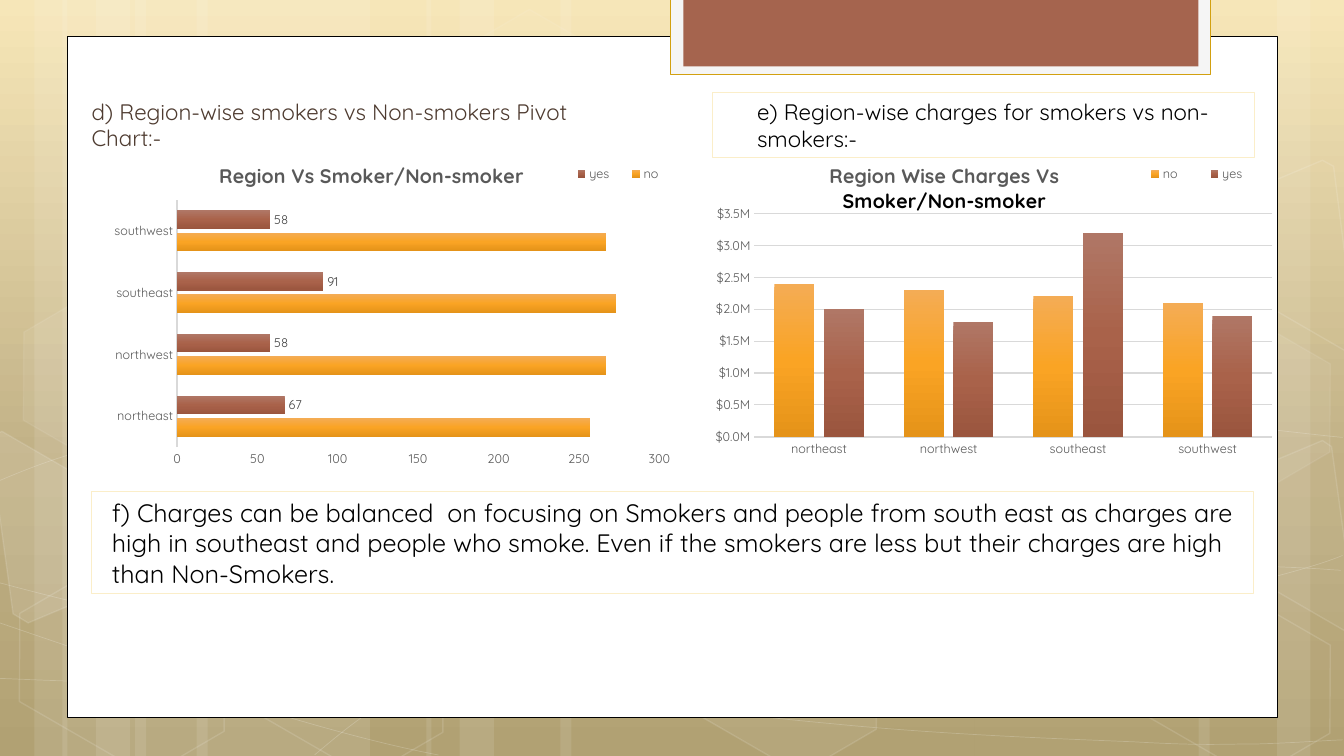
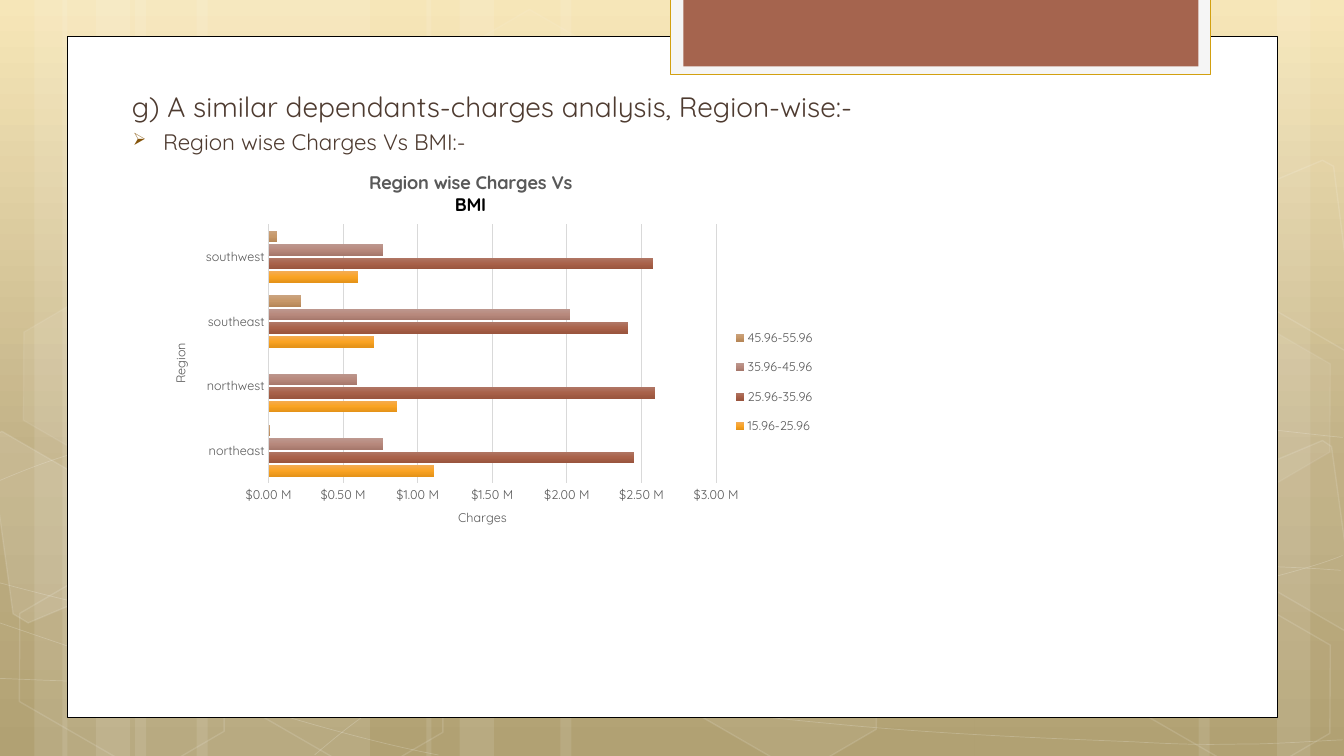
import pptx
import pptx.util
import pptx.chart.data
import pptx.dml.color
import pptx.enum.chart
import pptx.enum.shapes
import pptx.enum.text
import pptx.oxml
import pptx.oxml.ns

Inches, Pt, qn = pptx.util.Inches, pptx.util.Pt, pptx.oxml.ns.qn
CHART = pptx.enum.chart.XL_CHART_TYPE
SHAPE = pptx.enum.shapes.MSO_SHAPE

FACE = "Quicksand"
WHITE, BLACK, BROWN, GREY, RULE = "FFFFFF", "000000", "4E3B30", "595959", "D9D9D9"
FRAME = "FBEEC9"
SKY = [(0, "F6E4B0"), (62, "BAA878"), (100, "A99764")]
ORANGE = [(0, "F4AC55"), (50, "FAA424"), (100, "E59319")]
RUST = [(0, "B07766"), (50, "A9624A"), (100, "9A553E")]
ROSE = [(0, "BD988F"), (50, "B8897D"), (100, "A6786C")]
TAN = [(0, "CAA37F"), (50, "C79869"), (100, "B68758")]

# left, width
STRIPES = [(1.34, 2.33), (0, 0.67), (0.34, 1.11), (1.95, 2.33), (0.62, 0.67), (0.95, 1.11),
           (9.67, 2.33), (12.67, 0.67), (11.89, 1.11), (5.56, 4.11), (4.23, 0.67), (4.56, 1.11)]
# start point, then two handles and an end point for each stretch
CURVES = [
    [(-0.01, 6.73), (0.71, 6.76), (1.43, 6.79), (2.43, 6.78), (3.43, 6.77), (4.66, 6.75),
     (5.99, 6.65), (7.33, 6.55), (9.22, 6.36), (10.45, 6.17), (11.67, 5.98), (12.92, 5.68),
     (13.32, 5.51)],
    [(-0.01, 4.77), (0.37, 4.61), (0.75, 4.46), (1.51, 4.31), (2.27, 4.16), (3.34, 3.94),
     (4.52, 3.87), (5.71, 3.8), (7.14, 3.79), (8.61, 3.87), (10.08, 3.95), (12.52, 4.26),
     (13.32, 4.34)],
    [(-0.03, 6.17), (1.58, 6.72), (3.19, 7.27), (4.35, 7.49)],
    [(-0.01, 5.78), (0.4, 5.89), (0.82, 6), (1.6, 6.16), (2.37, 6.31), (3.53, 6.56),
     (4.64, 6.73), (5.76, 6.9), (7.16, 7.08), (8.26, 7.18), (9.37, 7.29), (10.55, 7.33),
     (11.26, 7.36), (11.96, 7.4), (12.14, 7.38), (12.49, 7.38), (12.83, 7.37), (13.08, 7.35),
     (13.32, 7.34)],
    [(3.12, 7.49), (3.36, 7.29), (3.59, 7.09), (3.92, 6.91), (4.24, 6.73), (4.69, 6.53),
     (5.06, 6.39), (5.43, 6.25), (5.66, 6.19), (6.15, 6.09), (6.64, 5.99), (7.54, 5.85),
     (8, 5.78), (8.47, 5.71), (8.54, 5.71), (8.96, 5.69), (9.37, 5.66), (10.02, 5.63),
     (10.48, 5.62), (10.94, 5.61), (11.71, 5.62), (11.71, 5.62), (12, 5.62), (12.3, 5.62),
     (12.59, 5.62), (12.84, 5.63), (13.06, 5.64), (13.18, 5.65), (13.3, 5.66), (13.26, 5.65),
     (13.3, 5.66)],
]
# left, top, fill opacity, line opacity
HEXES = [(4.34, 0.36, 4, 8), (6.51, 5.89, 6, 12), (0.04, 5.91, 0, 12), (0.08, 3.12, 7, 8),
         (2.21, 5.92, 0, 12), (11.01, 5.93, 0, 12), (11.01, 3.14, 7, 8)]
# fill opacity, corners
SHARDS = [
    (10, [(-0.11, 4.34), (0.02, 4.28), (1.04, 4.87), (1.16, 5.81), (0.28, 6.18), (0.13, 6.09)]),
    (4, [(12.24, 4.74), (13.12, 4.37), (13.21, 4.43), (13.46, 6.25), (13.38, 6.28),
         (12.36, 5.69)]),
    (0, [(12.24, 1.96), (13.12, 1.59), (13.23, 1.65), (13.46, 3.46), (13.38, 3.5),
         (12.36, 2.91)]),
]
# box, fill, line, line width
PANELS = [((0.67, 0.36, 12, 6.76), WHITE, BLACK, 0.5),
          ((6.65, -0.02, 5.36, 0.76), "F5F5F5", "D2A010", 1),
          ((6.78, -0.02, 5.11, 0.68), "A5644E", None, 0)]

REGIONS = ["northeast", "northwest", "southeast", "southwest"]
# spot, legend, plot and the places of names are percents of the chart
SLIDES = [
    {
        # box, lines of (text, size, bullet)
        "heads": [((0.74, 0.92, 5.69, 0.38),
                   [("d) Region-wise smokers vs Non-smokers Pivot Chart:-", 16, False)])],
        # box, left margin, size, text
        "notes": [
            ((7.07, 0.92, 5.38, 0.64), 0.44, 16,
             "e) Region-wise charges for smokers vs non-smokers:-"),
            ((0.91, 4.88, 11.53, 1.01), 0.2, 18,
             "f) Charges can be balanced  on focusing on Smokers and people from south east as "
             "charges are high in southeast and people who smoke. Even if the smokers are less "
             "but their charges are high than Non-Smokers."),
        ],
        "charts": [
            {"kind": CHART.BAR_CLUSTERED, "box": (1.02, 1.56, 5.71, 3.13),
             "title": ["Region Vs Smoker/Non-smoker"], "size": 14, "spot": (19.6, 0.1),
             "legend": (79.3, 1.7, 20.5, 7), "plot": (12.9, 13.5, 83.8, 78.4),
             "top": 300, "step": 50, "form": "General", "grid": False, "gap": (115, -20),
             "tags": ["yes"],
             "rows": [("no", ORANGE, [257, 267, 273, 267]), ("yes", RUST, [67, 58, 91, 58])]},
            {"kind": CHART.COLUMN_CLUSTERED, "box": (6.95, 1.56, 5.68, 3.03),
             "title": ["Region Wise Charges Vs", "Smoker/Non-smoker"], "size": 14,
             "spot": (22, 0.3),
             "legend": (73.8, 2, 26, 7), "plot": (9.4, 18.4, 90.6, 73.2),
             "top": 3500000, "step": 500000, "form": '\\$#,##0.0,,"M"', "grid": True,
             "gap": (100, -24),
             "rows": [("no", ORANGE, [2400000, 2300000, 2200000, 2100000]),
                      ("yes", RUST, [2000000, 1800000, 3200000, 1900000])]},
        ],
    },
    {
        "heads": [((1.14, 0.84, 7.86, 0.81),
                   [("g) A similar dependants-charges analysis, Region-wise:-", 20, False),
                    ("Region wise Charges Vs BMI:-", 16, True)])],
        "notes": [],
        "charts": [
            {"kind": CHART.BAR_CLUSTERED, "box": (1.52, 1.65, 6.81, 3.64),
             "title": ["Region wise Charges Vs", "BMI"], "size": 13, "spot": (31, 0.1),
             "legend": (83.5, 40.7, 14, 36), "plot": (16.8, 15.8, 65.2, 70.5),
             "top": 3000000, "step": 500000, "form": '\\$#,##0.00,," M"', "grid": True,
             "gap": (115, -20), "names": [("Region", None), ("Charges", (44.1, 92.5))],
             "rows": [("15.96-25.96", ORANGE, [1110000, 860000, 710000, 600000]),
                      ("25.96-35.96", RUST, [2450000, 2590000, 2410000, 2580000]),
                      ("35.96-45.96", ROSE, [770000, 590000, 2020000, 770000]),
                      ("45.96-55.96", TAN, [10000, None, 220000, 60000])]},
        ],
    },
]


def rgb(code):
    return pptx.dml.color.RGBColor.from_string(code)


def tag(parent, name, **attrs):
    child = pptx.oxml.parse_xml(f"<{name} {pptx.oxml.ns.nsdecls(name.split(':')[0])}/>")
    for key, value in attrs.items():
        child.set(key, str(value))
    parent.append(child)
    return child


def type_set(font, size, color, bold=False):
    font.name, font.size, font.bold = FACE, Pt(size), bold
    font.color.rgb = rgb(color)


def grade(fill, root, stops):
    """Give the first gradient under root these stops, running downwards."""
    fill.gradient()
    fill.gradient_angle = 270
    group = root.find(".//" + qn("a:gsLst"))
    for old in list(group):
        group.remove(old)
    for pos, code in stops:
        tag(tag(group, "a:gs", pos=pos * 1000), "a:srgbClr", val=code)


def paint(shape, fill=None, line=None, width=1, clear=(100, 100)):
    """Set fill and line; clear holds their opacities in percent."""
    shape.shadow.inherit = False
    for part, code in ((shape.fill, fill), (shape.line.fill, line)):
        if code:
            part.solid()
            part.fore_color.rgb = rgb(code)
        else:
            part.background()
    if line:
        shape.line.width = Pt(width)
    for route, alpha in zip(("a:solidFill", "a:ln/a:solidFill"), clear):
        for color in shape.element.spPr.xpath(route + "/a:srgbClr"):
            if alpha < 100:
                tag(color, "a:alpha", val=alpha * 1000)


def add_box(slide, box, kind=SHAPE.RECTANGLE):
    return slide.shapes.add_shape(kind, *map(Inches, box))


def outline(slide, points, close):
    spots = [(Inches(x), Inches(y)) for x, y in points]
    pen = slide.shapes.build_freeform(*spots[0])
    pen.add_line_segments(spots[1:], close=close)
    return pen.convert_to_shape()


def add_curve(slide, knots):
    """Draw lines through the knots, then join each three into one cubic."""
    shape = outline(slide, knots, False)
    lines = shape.element.spPr.xpath(".//a:lnTo")
    for start in range(0, len(lines), 3):
        cubic = tag(lines[start].getparent(), "a:cubicBezTo")
        for line in lines[start:start + 3]:
            cubic.append(line[0])
            line.getparent().remove(line)
    return shape


def add_base(slide):
    for left, width in STRIPES:
        paint(add_box(slide, (left, 0, width, 7.5)), WHITE, clear=(10, 100))
    for knots in CURVES:
        paint(add_curve(slide, knots), None, WHITE, 0.5, (100, 20))
    for left, top, inner, edge in HEXES:
        hexagon = add_box(slide, (left, top, 2.34, 1.52), SHAPE.HEXAGON)
        hexagon.adjustments[0] = 0.285
        hexagon.rotation = 30
        paint(hexagon, WHITE if inner else None, WHITE, 1, (inner, edge))
    for inner, points in SHARDS:
        paint(outline(slide, points, True), WHITE if inner else None, WHITE, 1, (inner, 12))
    for box, fill, line, width in PANELS:
        paint(add_box(slide, box), fill, line, width)


def set_layout(layout, slide):
    """Build the shared base on a slide and move it to the layout."""
    for holder in list(layout.placeholders):
        holder.element.getparent().remove(holder.element)
    grade(layout.background.fill, layout.element, SKY)
    add_base(slide)
    for shape in list(slide.shapes):
        layout.element.cSld.spTree.append(shape.element)


def add_head(slide, box, lines):
    frame = slide.shapes.add_textbox(*map(Inches, box)).text_frame
    frame.word_wrap = True
    frame.text = "\n".join(text for text, size, bullet in lines)
    for para, (text, size, bullet) in zip(frame.paragraphs, lines):
        type_set(para.runs[0].font, size, BROWN)
        para.space_before = Pt(size * 0.2)
        props = para._p.get_or_add_pPr()
        props.set("marL", str(Inches(0.38 if bullet else 0.07)))
        if bullet:
            props.set("indent", str(Inches(-0.3)))
            tag(tag(props, "a:buClr"), "a:srgbClr", val="85540A")
            tag(props, "a:buSzPct", val=76000)
            tag(props, "a:buChar", char="➢")


def add_note(slide, box, margin, size, text):
    shape = add_box(slide, box)
    paint(shape, None, FRAME, 0.75)
    frame = shape.text_frame
    frame.word_wrap = True
    frame.margin_left = Inches(margin)
    frame.vertical_anchor = pptx.enum.text.MSO_ANCHOR.MIDDLE
    frame.text = text
    para = frame.paragraphs[0]
    para.alignment = pptx.enum.text.PP_ALIGN.LEFT
    type_set(para.runs[0].font, size, BLACK)


def place(part, spot, inner=False):
    """Fix a chart part at percents of the chart: x, y and maybe w, h."""
    for old in part.findall(qn("c:layout")):
        part.remove(old)
    layout = tag(part, "c:layout")
    manual = tag(layout, "c:manualLayout")
    if inner:
        tag(manual, "c:layoutTarget", val="inner")
    for key in ("xMode", "yMode"):
        tag(manual, "c:" + key, val="edge")
    for key, value in zip("xywh", spot):
        tag(manual, "c:" + key, val=value / 100)
    overlay = part.find(qn("c:overlay"))
    if overlay is None:
        part.insert(0, layout)
    else:
        overlay.addprevious(layout)


def set_axes(chart, data):
    cat, val = chart.category_axis, chart.value_axis
    for axis in (cat, val):
        axis.major_tick_mark = axis.minor_tick_mark = pptx.enum.chart.XL_TICK_MARK.NONE
        type_set(axis.tick_labels.font, 9, GREY)
    cat.format.line.color.rgb = rgb(RULE)
    cat.format.line.width = Pt(1)
    val.format.line.fill.background()
    val.minimum_scale, val.maximum_scale, val.major_unit = 0, data["top"], data["step"]
    val.tick_labels.number_format = data["form"]
    val.tick_labels.number_format_is_linked = False
    val.has_major_gridlines = data["grid"]
    if data["grid"]:
        val.major_gridlines.format.line.color.rgb = rgb(RULE)
        val.major_gridlines.format.line.width = Pt(0.75)
    for axis, (name, spot) in zip((cat, val), data.get("names", ())):
        title = axis.axis_title
        title.text_frame.text = name
        type_set(title.text_frame.paragraphs[0].runs[0].font, 9, GREY)
        if spot:
            place(title._element, spot)


def add_graph(slide, data):
    source = pptx.chart.data.CategoryChartData()
    source.categories = REGIONS
    for name, color, values in data["rows"]:
        source.add_series(name, values)
    chart = slide.shapes.add_chart(data["kind"], *map(Inches, data["box"]), source).chart
    type_set(chart.font, 10, BLACK)
    chart.has_title = True
    frame = chart.chart_title.text_frame
    frame.text = "\n".join(data["title"])
    for para, color in zip(frame.paragraphs, (GREY, BLACK)):
        type_set(para.runs[0].font, data["size"], color, True)
    place(chart.chart_title._element, data["spot"])
    chart.has_legend = True
    chart.legend.position = pptx.enum.chart.XL_LEGEND_POSITION.RIGHT
    chart.legend.include_in_layout = False
    type_set(chart.legend.font, 9, GREY)
    place(chart.legend._element, data["legend"])
    place(chart.element.find(".//" + qn("c:plotArea")), data["plot"], True)
    set_axes(chart, data)
    plot = chart.plots[0]
    plot.vary_by_categories = False
    plot.gap_width, plot.overlap = data["gap"]
    for series, (name, color, values) in zip(plot.series, data["rows"]):
        grade(series.format.fill, series._element, color)
        if name in data.get("tags", ()):
            labels = series.data_labels
            labels.show_value = True
            labels.position = pptx.enum.chart.XL_LABEL_POSITION.OUTSIDE_END
            type_set(labels.font, 9, "404040")


def main():
    deck = pptx.Presentation()
    deck.slide_width, deck.slide_height = Inches(40) // 3, Inches(7.5)
    layout = deck.slide_layouts[6]
    slides = [deck.slides.add_slide(layout) for data in SLIDES]
    set_layout(layout, slides[0])
    for slide, data in zip(slides, SLIDES):
        for head in data["heads"]:
            add_head(slide, *head)
        for note in data["notes"]:
            add_note(slide, *note)
        for chart in data["charts"]:
            add_graph(slide, chart)
    deck.save("out.pptx")


if __name__ == "__main__":
    main()
